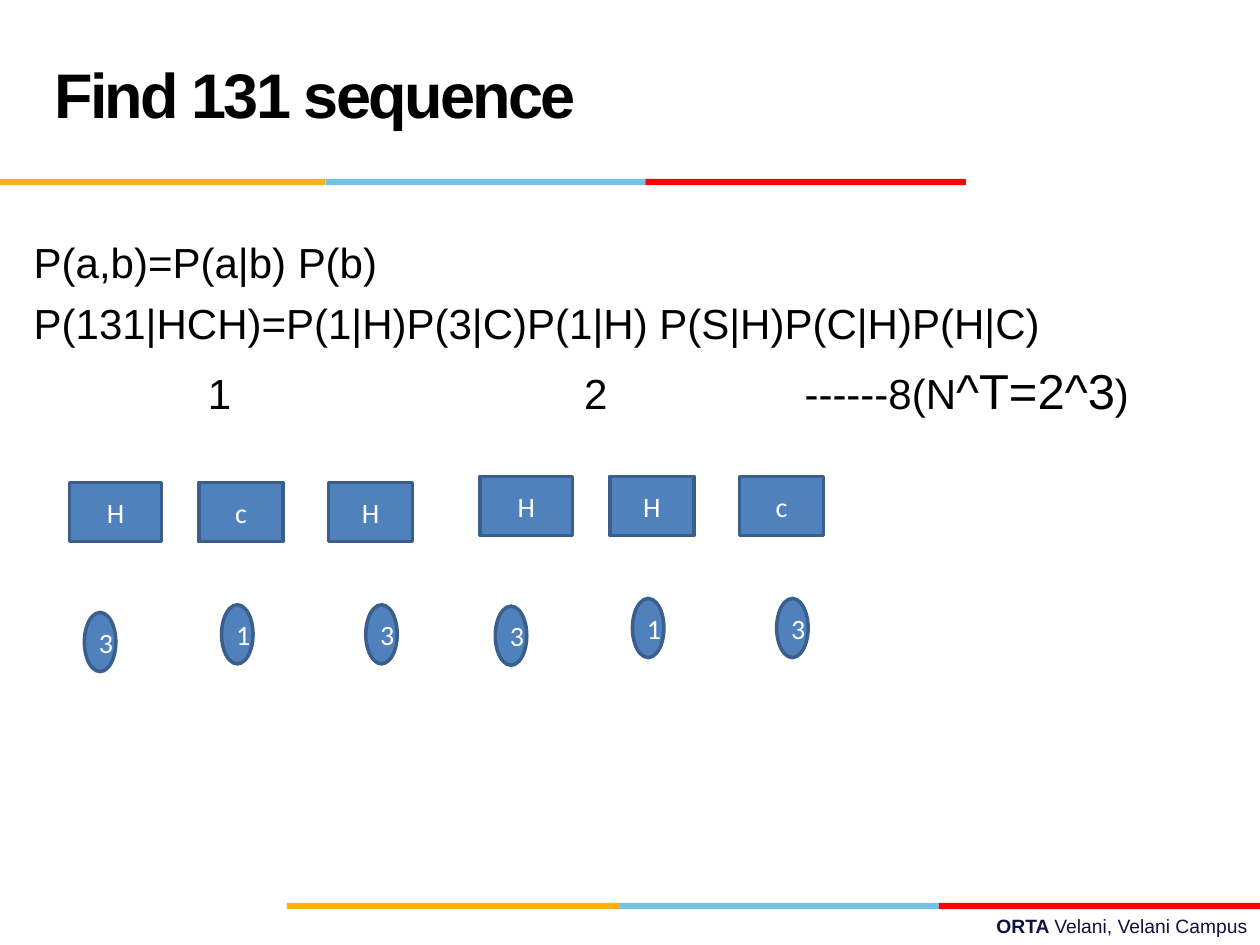
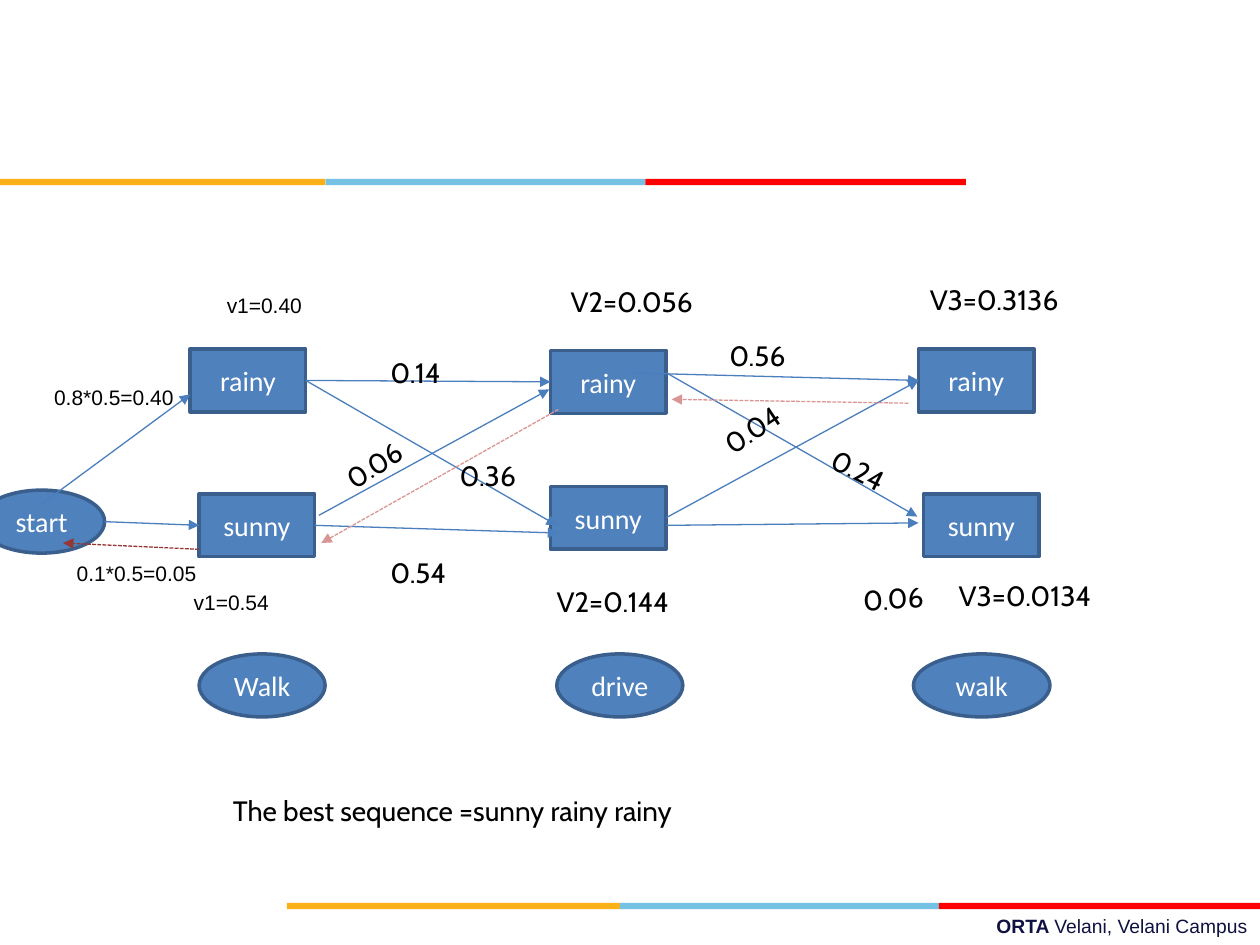
from lxml.etree import SubElement
from pptx import Presentation
from pptx.dml.color import RGBColor
from pptx.enum.dml import MSO_LINE
from pptx.enum.shapes import MSO_CONNECTOR, MSO_SHAPE
from pptx.enum.text import MSO_ANCHOR, PP_ALIGN
from pptx.oxml.ns import qn
from pptx.util import Pt

COLORS = {
    "black": "000000", "white": "FFFFFF", "navy": "101141",
    "yellow": "FCB017", "sky": "76C2E5", "red": "FF0000",
    "node": "4F81BD", "node_line": "3A5F8C", "arrow": "4B7EBC",
    "backtrack": "D99694", "backtrack_dark": "953735",
}
FONTS = {
    "title": {"name": "Arial", "size": Pt(36), "bold": True, "color": "black"},
    "body": {"name": "Arial", "size": Pt(24), "bold": False, "color": "black"},
    "body_large": {"name": "Arial", "size": Pt(28), "bold": False, "color": "black"},
    "small": {"name": "Arial", "size": Pt(12), "bold": False, "color": "black"},
    "footer_bold": {"name": "Arial", "size": Pt(11), "bold": True, "color": "navy"},
    "footer": {"name": "Arial", "size": Pt(11), "bold": False, "color": "navy"},
    "node": {"name": "Calibri", "size": Pt(16), "bold": False, "color": "white"},
    "label": {"name": "Cabin", "size": Pt(16), "bold": False, "color": "black"},
}
BAND_HEIGHT = 3.6
LEFT, RIGHT = 1, 3  # connection sites of a rectangle


def rgb(color):
    return RGBColor.from_string(COLORS[color])


def add_run(paragraph, text, style):
    run = paragraph.add_run()
    run.text = text
    for key, value in FONTS[style].items():
        if key == "color":
            run.font.color.rgb = rgb(value)
        else:
            setattr(run.font, key, value)
    return run


def add_text(slide, left, top, width, height, lines, rotation=0):
    """Add a text box; each line is a list of (text, style) runs."""
    box = slide.shapes.add_textbox(Pt(left), Pt(top), Pt(width), Pt(height))
    box.rotation = rotation
    frame = box.text_frame
    frame.word_wrap = True
    for index, runs in enumerate(lines):
        paragraph = frame.add_paragraph() if index else frame.paragraphs[0]
        for text, style in runs:
            add_run(paragraph, text, style)
    return frame.paragraphs


def add_filled(slide, kind, left, top, width, height, fill):
    shape = slide.shapes.add_shape(kind, Pt(left), Pt(top), Pt(width), Pt(height))
    shape.shadow.inherit = False
    shape.fill.solid()
    shape.fill.fore_color.rgb = rgb(fill)
    shape.line.fill.background()
    return shape


def add_node(slide, kind, left, top, width, height, text):
    node = add_filled(slide, kind, left, top, width, height, "node")
    node.line.color.rgb = rgb("node_line")
    node.line.width = Pt(2)
    node.text_frame.vertical_anchor = MSO_ANCHOR.MIDDLE
    paragraph = node.text_frame.paragraphs[0]
    paragraph.alignment = PP_ALIGN.CENTER
    add_run(paragraph, text, "node")
    return node


def add_arrow(slide, left, top, start, end, color="arrow", dashed=False):
    """Each end is an (x, y) point within the box or a (node, site) pair."""
    points = [(0, 0) if hasattr(x, "shape_id") else (left + x, top + y)
              for x, y in (start, end)]
    arrow = slide.shapes.add_connector(
        MSO_CONNECTOR.STRAIGHT, *(Pt(value) for point in points for value in point))
    for target, connect in ((start, arrow.begin_connect), (end, arrow.end_connect)):
        if hasattr(target[0], "shape_id"):
            connect(*target)
    arrow.line.color.rgb = rgb(color)
    arrow.line.width = Pt(0.75)
    if dashed:
        arrow.line.dash_style = MSO_LINE.SQUARE_DOT
    properties = arrow.element.spPr
    SubElement(properties.find(qn("a:ln")), qn("a:tailEnd"), type="triangle")
    SubElement(properties, qn("a:effectLst"))


def add_band(slide, left, top, widths):
    for color, width in zip(("yellow", "sky", "red"), widths):
        add_filled(slide, MSO_SHAPE.RECTANGLE, left, top, width, BAND_HEIGHT, color)
        left += width


def add_frame(slide):
    """Add the bands and footer that every slide shows."""
    add_band(slide, 0, 102.2, (186, 182.8, 183.2))
    add_band(slide, 164, 516, (190.2, 182.4, 183.4))
    footer = add_text(slide, 257.8, 519.1, 462.2, 20.9, [
        [("ORTA ", "footer_bold"), ("Velani, Velani Campus", "footer")]])
    footer[0].alignment = PP_ALIGN.RIGHT


def format_title(slide, text):
    title = slide.shapes.title
    box = {"left": 23.8, "top": 12.2, "width": 498.2, "height": 90}
    for key, value in box.items():
        setattr(title, key, Pt(value))
    title.text_frame.vertical_anchor = MSO_ANCHOR.MIDDLE
    paragraph = title.text_frame.paragraphs[0]
    paragraph.alignment = PP_ALIGN.LEFT
    paragraph.line_spacing = Pt(36)
    run = add_run(paragraph, text, "title")
    run.font._element.set("spc", "-150")


def add_formulas(slide, left, top):
    paragraphs = add_text(slide, left, top, 648, 120, [
        [("P(a,b)=P(a|b) P(b)", "body")],
        [("P(131|HCH)=P(1|H)P(3|C)P(1|H) P(S|H)P(C|H)P(H|C)", "body")],
        [("\t1\t2\t------8(N", "body"), ("^T=2^3", "body_large"), (")", "body")],
    ])
    for paragraph, space in zip(paragraphs, (0, 6, 7)):
        paragraph.space_before = Pt(space)
    tabs = SubElement(paragraphs[2]._p.get_or_add_pPr(), qn("a:tabLst"))
    for position in (99.5, 314.5, 440.5):
        SubElement(tabs, qn("a:tab"), pos=str(Pt(position)), algn="l")


def add_sequence(slide, left, top, states):
    """Add three hidden states above their observations 3, 1, 3."""
    for index, (state, width) in enumerate(zip(states, (52.8, 48, 48))):
        add_node(slide, MSO_SHAPE.RECTANGLE, left + index * 74.1, top, width, 33.8, state)
    for x, y, value in ((8.6, 74.2, "3"), (87, 69.8, "1"), (169.4, 69.8, "3")):
        add_node(slide, MSO_SHAPE.OVAL, left + x, top + y, 18, 33.8, value)


def add_trellis(slide, left, top):
    def add_states(text, places):
        return [add_node(slide, MSO_SHAPE.RECTANGLE, left + x, top + y, 66, 36, text)
                for x, y in places]

    observations = ((113.8, 72, "Walk"), (318.2, 72, "drive"), (522, 78, "walk"))
    for x, width, text in observations:
        add_node(slide, MSO_SHAPE.OVAL, left + x, top + 229.7, width, 36, text)
    sunny = add_states("sunny", ((113.8, 138.2), (314.6, 133.9), (527.8, 138.2)))
    rainy = add_states("rainy", ((108.7, 55.4), (314.6, 56.2), (524.9, 55.4)))
    add_node(slide, MSO_SHAPE.OVAL, left - 12.2, top + 136.1, 72, 36, "start")

    transitions = (
        ((23.8, 144), (108.7, 81.4)),
        ((59.8, 154.1), (sunny[0], LEFT)),
        ((rainy[0], RIGHT), (318.2, 156.2)),
        ((sunny[0], RIGHT), (319, 160.6)),
        ((360, 69.1), (rainy[2], LEFT)),
        ((380.9, 156.2), (524.9, 154.8)),
        ((rainy[0], RIGHT), (rainy[1], LEFT)),
        ((182.2, 150.5), (313.9, 78.5)),
        ((sunny[1], RIGHT), (rainy[2], LEFT)),
        ((380.9, 69.1), (524.2, 151.2)),
    )
    for start, end in transitions:
        add_arrow(slide, left, top, start, end)
    backtracks = (
        ((319, 90), (183.6, 166.3), "backtrack"),
        ((519.1, 86.4), (383.8, 84.2), "backtrack"),
        ((113.8, 169.9), (36, 166.3), "backtrack_dark"),
    )
    for start, end, color in backtracks:
        add_arrow(slide, left, top, start, end, color, dashed=True)

    labels = (
        (216, 55.4, 60, "0.14", 0), (187.9, 103.7, 65.5, "0.06", 326.1),
        (255.6, 114.5, 52, "0.36", 0), (216, 169.9, 60, "0.54", 0),
        (540.7, 182.9, 96, "V3=0.0134", 0), (524.2, 13.7, 106, "V3=0.3136", 0),
        (319, 15.1, 86.4, "V2=0.056", 0), (311, 186.5, 86.4, "V2=0.144", 0),
        (409.7, 46.1, 86.4, "0.56", 0), (486, 184, 67.7, "0.06", 355.6),
        (405.4, 87.8, 50.4, "0.04", 326.2), (467.3, 112.3, 50.4, "0.24", 26.6),
    )
    for x, y, width, text, rotation in labels:
        add_text(slide, left + x, top + y, width, 26.6, [[(text, "label")]], rotation)
    start_labels = (
        (122.5, 19.5, "v1=0.40"), (23.8, 72, "0.8*0.5=0.40"),
        (36.8, 173, "0.1*0.5=0.05"), (103.6, 189.5, "v1=0.54"),
    )
    for x, y, text in start_labels:
        add_text(slide, left + x, top + y, 100, 21, [[(text, "small")]])


def build_sequence_slide(presentation):
    slide = presentation.slides.add_slide(presentation.slide_layouts[5])
    add_frame(slide)
    format_title(slide, "Find 131 sequence")
    add_formulas(slide, 12.2, 131.8)
    add_sequence(slide, 39.6, 275.8, "HcH")
    add_sequence(slide, 274.4, 272.2, "HHc")


def build_trellis_slide(presentation):
    slide = presentation.slides.add_slide(presentation.slide_layouts[6])
    add_frame(slide)
    add_trellis(slide, 0, 144)
    add_text(slide, 126, 450, 398, 26.6,
             [[("The best sequence =sunny rainy rainy", "label")]])


def main():
    presentation = Presentation()
    presentation.slide_width, presentation.slide_height = Pt(720), Pt(540)
    build_sequence_slide(presentation)
    build_trellis_slide(presentation)
    presentation.save("out.pptx")


if __name__ == "__main__":
    main()
